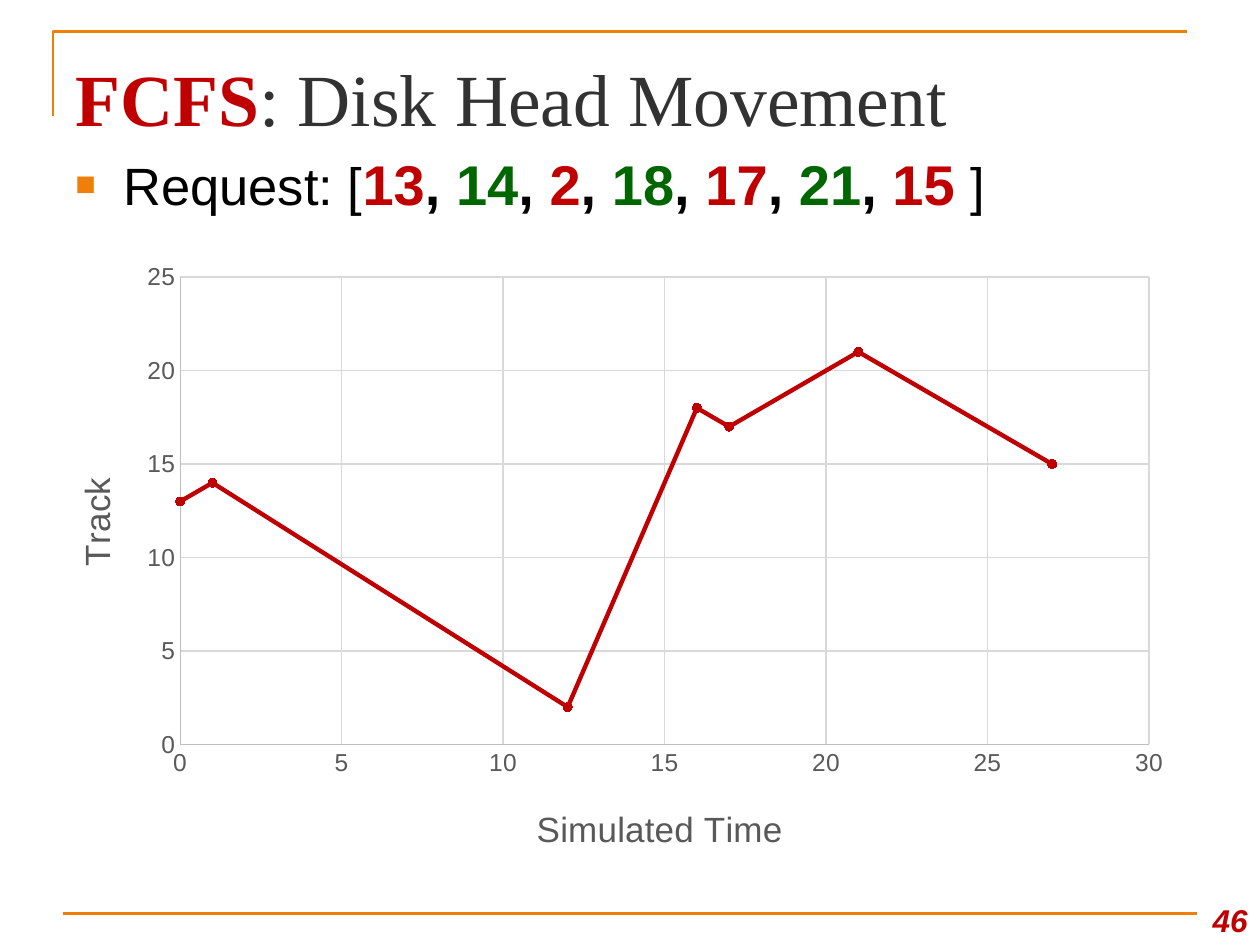
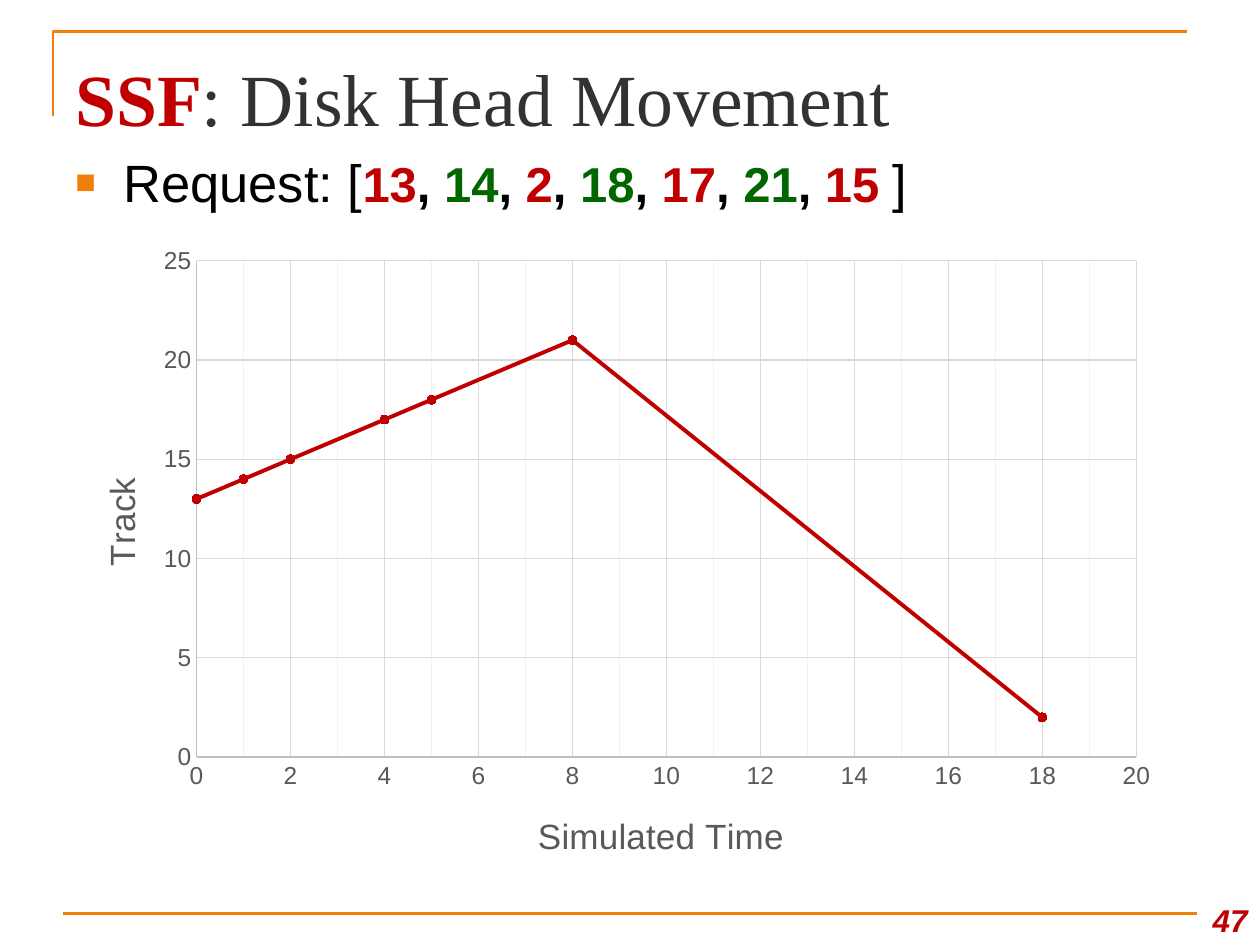
from lxml import etree
from pptx import Presentation
from pptx import util as u
from pptx.chart.data import XyChartData
from pptx.dml.color import RGBColor
from pptx.enum import chart as ch, shapes, text
from pptx.oxml import parse_xml
from pptx.oxml.ns import nsdecls, qn

ORANGE = RGBColor(0xF0, 0x7F, 0x09)
RED = RGBColor(0xC0, 0x00, 0x00)
GREEN = RGBColor(0x00, 0x66, 0x00)
BLACK = RGBColor(0x00, 0x00, 0x00)
TITLE_GRAY = RGBColor(0x32, 0x32, 0x32)
LABEL_GRAY = RGBColor(0x59, 0x59, 0x59)
AXIS_GRAY = RGBColor(0xBF, 0xBF, 0xBF)
GRID_GRAY = RGBColor(0xD9, 0xD9, 0xD9)
MINOR_GRAY = RGBColor(0xF2, 0xF2, 0xF2)

REQUESTS = [13, 14, 2, 18, 17, 21, 15]

# Chart frames and plots are (left, top, width, height) in inches on the slide.
SLIDES = [
    dict(name="FCFS", number=46, request_size=32, line_width=2.5,
         times=[0, 1, 12, 16, 17, 21, 27], tracks=REQUESTS,
         time_max=30, time_step=5, minor_step=None,
         frame=(0.33, 2, 9.08, 4.92), plot=(1.43, 2.2, 7.69, 3.71),
         time_title=(4.21, 6.35), track_title=(0.54, 3.74)),
    dict(name="SSF", number=47, request_size=28, line_width=2.25,
         times=[0, 1, 2, 4, 5, 8, 18], tracks=[13, 14, 15, 17, 18, 21, 2],
         time_max=20, time_step=2, minor_step=1,
         frame=(0.47, 1.86, 8.83, 5.08), plot=(1.56, 2.07, 7.46, 3.94),
         time_title=(4.22, 6.41), track_title=(0.74, 3.74)),
]


def add_text(slide, box, runs, font="Arial", top_inset=0.05, italic=False,
             anchor=text.MSO_ANCHOR.TOP, align=text.PP_ALIGN.LEFT, bullet=False):
    """Add one paragraph; each run is (text, size, colour, bold)."""
    frame = slide.shapes.add_textbox(*map(u.Inches, box)).text_frame
    frame.word_wrap = True
    frame.margin_top = u.Inches(top_inset)
    frame.vertical_anchor = anchor
    paragraph = frame.paragraphs[0]
    paragraph.alignment = align
    if bullet:
        props = paragraph._p.get_or_add_pPr()
        props.set("marL", str(u.Inches(0.38)))
        props.set("indent", str(u.Inches(-0.38)))
        colour = etree.SubElement(props, qn("a:buClr"))
        etree.SubElement(colour, qn("a:srgbClr")).set("val", str(ORANGE))
        etree.SubElement(props, qn("a:buSzPct")).set("val", "65000")
        etree.SubElement(props, qn("a:buFont")).set("typeface", "Arial")
        etree.SubElement(props, qn("a:buChar")).set("char", "■")
    for words, size, colour, bold in runs:
        run = paragraph.add_run()
        run.text = words
        run.font.name = font
        run.font.size = u.Pt(size)
        run.font.color.rgb = colour
        run.font.bold = bold
        run.font.italic = italic


def place_in_chart(parent, index, frame, place):
    """Give a chart part a manual layout from its place on the slide."""
    for old in parent.findall(qn("c:layout")):
        parent.remove(old)
    layout = parse_xml(f"<c:layout {nsdecls('c')}><c:manualLayout/></c:layout>")
    settings = [("xMode", "edge"), ("yMode", "edge"),
                ("x", (place[0] - frame[0]) / frame[2]),
                ("y", (place[1] - frame[1]) / frame[3])]
    if len(place) == 4:
        settings.insert(0, ("layoutTarget", "inner"))
        settings += [("w", place[2] / frame[2]), ("h", place[3] / frame[3])]
    for tag, value in settings:
        etree.SubElement(layout[0], qn("c:" + tag)).set("val", str(value))
    parent.insert(index, layout)


prs = Presentation()
prs.slide_width, prs.slide_height = u.Inches(10), u.Inches(7.5)

for page in SLIDES:
    slide = prs.slides.add_slide(prs.slide_layouts[6])

    # Corner rule and footer rule
    left, top, right, bottom = map(u.Inches, (0.42, 0.25, 9.42, 0.92))
    builder = slide.shapes.build_freeform(left, bottom)
    builder.add_line_segments([(left, top), (right, top)], close=False)
    corner = builder.convert_to_shape()
    corner.fill.background()
    corner.shadow.inherit = False
    footer = slide.shapes.add_connector(
        shapes.MSO_CONNECTOR.STRAIGHT, u.Inches(0.5), u.Inches(7.25),
        u.Inches(9.5), u.Inches(7.25))
    for rule in (corner, footer):
        rule.line.color.rgb = ORANGE
        rule.line.width = u.Pt(1.5)
    etree.SubElement(footer._element.spPr, qn("a:effectLst"))

    # Title, request list and slide number
    add_text(slide, (0.5, 0.3, 9, 0.78),
             [(page["name"], 42, RED, True),
              (": Disk Head Movement", 42, TITLE_GRAY, False)],
             font="Times New Roman", top_inset=0.12)
    size = page["request_size"]
    request_runs = [("Request: [", 30, BLACK, False)]
    for i, track in enumerate(REQUESTS):
        if i:
            request_runs.append((", ", size, BLACK, True))
        request_runs.append((str(track), size, GREEN if i % 2 else RED, True))
    request_runs += [(" ", size, RED, True), ("]", 30, BLACK, False)]
    add_text(slide, (0.5, 1.08, 9, 0.58), request_runs, top_inset=0.11, bullet=True)
    add_text(slide, (9.42, 7, 0.58, 0.5), [(str(page["number"]), 18, RED, True)],
             italic=True, anchor=text.MSO_ANCHOR.BOTTOM, align=text.PP_ALIGN.RIGHT)

    # Head movement chart
    data = XyChartData()
    points = data.add_series("Series 1")
    for time, track in zip(page["times"], page["tracks"]):
        points.add_data_point(time, track)
    frame = page["frame"]
    chart = slide.shapes.add_chart(ch.XL_CHART_TYPE.XY_SCATTER_LINES,
                                   *map(u.Inches, frame), data).chart
    chart.has_legend = False
    chart.has_title = False
    chart.font.name = "Arial"
    chart.font.size = u.Pt(10)
    chart.plots[0].vary_by_categories = False
    place_in_chart(chart._chartSpace.chart.plotArea, 0, frame, page["plot"])

    movement = chart.plots[0].series[0]
    movement.smooth = False
    movement.format.line.color.rgb = RED
    movement.format.line.width = u.Pt(page["line_width"])
    movement.marker.style = ch.XL_MARKER_STYLE.CIRCLE
    movement.marker.size = 5
    movement.marker.format.fill.solid()
    movement.marker.format.fill.fore_color.rgb = RED
    movement.marker.format.line.color.rgb = RED

    time_axis, track_axis = chart.category_axis, chart.value_axis
    for axis, label, place, maximum, step in (
            (time_axis, "Simulated Time", page["time_title"],
             page["time_max"], page["time_step"]),
            (track_axis, "Track", page["track_title"], 25, 5)):
        axis.minimum_scale, axis.maximum_scale = 0, maximum
        axis.major_unit = step
        axis.major_tick_mark = axis.minor_tick_mark = ch.XL_TICK_MARK.NONE
        axis.has_major_gridlines = True
        for line, colour in ((axis.format.line, AXIS_GRAY),
                             (axis.major_gridlines.format.line, GRID_GRAY)):
            line.color.rgb = colour
            line.width = u.Pt(0.75)
        axis.tick_labels.font.size = u.Pt(14)
        axis.tick_labels.font.color.rgb = LABEL_GRAY
        title_frame = axis.axis_title.text_frame
        title_frame.text = label
        title_font = title_frame.paragraphs[0].runs[0].font
        title_font.name = "Arial"
        title_font.size = u.Pt(20)
        title_font.bold = False
        title_font.color.rgb = LABEL_GRAY
        place_in_chart(axis.axis_title._element, 1, frame, place)
    track_turn = track_axis.axis_title.text_frame._txBody.find(qn("a:bodyPr"))
    track_turn.set("rot", "-5400000")
    track_turn.set("vert", "horz")

    if page["minor_step"]:
        time_axis.minor_unit = page["minor_step"]
        time_axis.has_minor_gridlines = True
        time_axis._element.find(qn("c:minorGridlines")).append(parse_xml(
            f'<c:spPr {nsdecls("c", "a")}><a:ln w="{u.Pt(0.75)}"><a:solidFill>'
            f'<a:srgbClr val="{MINOR_GRAY}"/></a:solidFill></a:ln></c:spPr>'))

prs.save("out.pptx")
